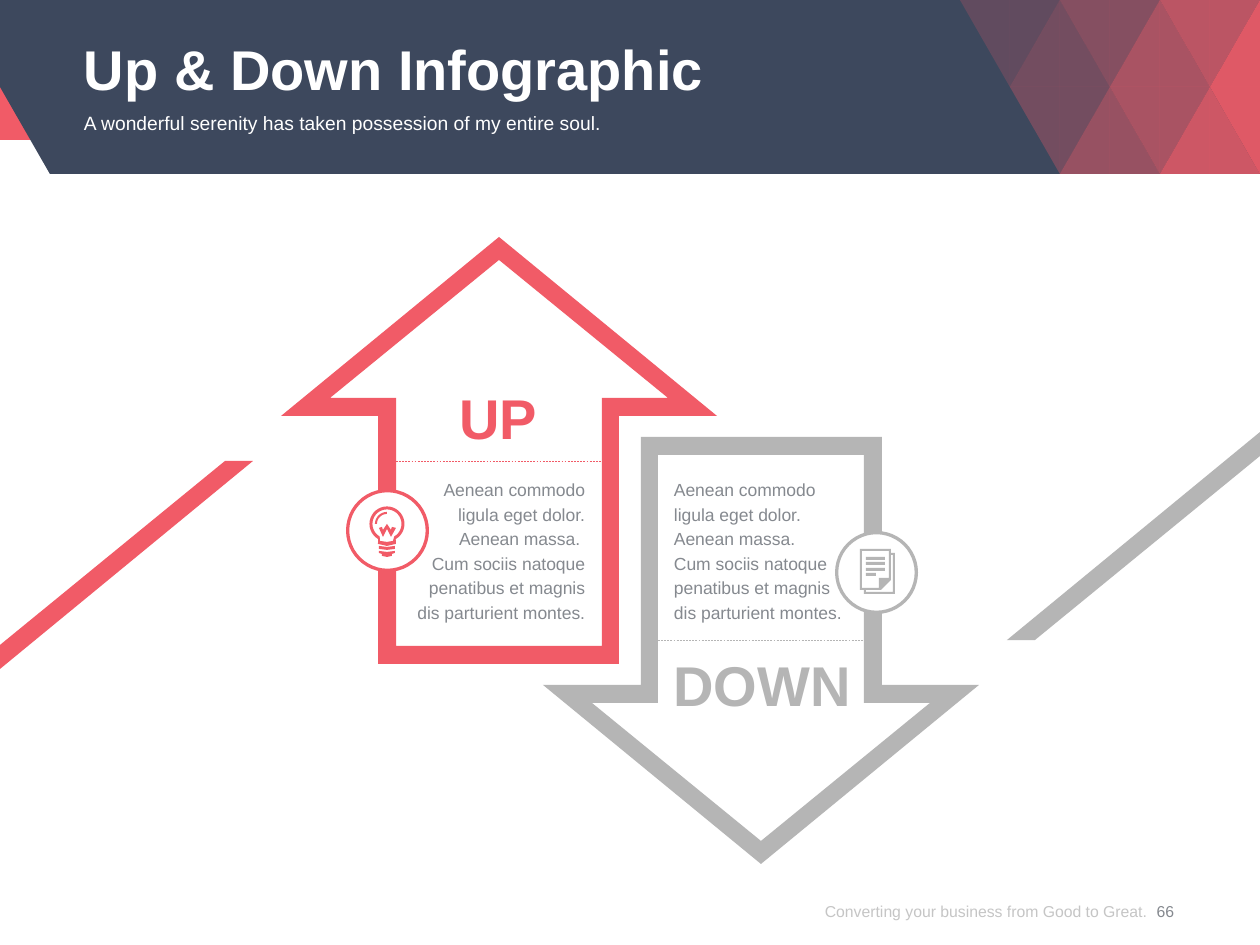
from math import cos, radians, sin

from lxml.etree import SubElement
from pptx import Presentation
from pptx.dml.color import RGBColor
from pptx.enum.dml import MSO_LINE
from pptx.enum.shapes import MSO_CONNECTOR, MSO_SHAPE
from pptx.enum.text import MSO_ANCHOR, MSO_AUTO_SIZE, PP_ALIGN
from pptx.oxml.ns import qn
from pptx.util import Pt

PX = 914400 / 126
WIDTH, HEIGHT = 1260, 945
BANNER_H = 174
RED, GRAY, NAVY, WHITE = "F15B67", "B5B5B5", "3D485D", "FFFFFF"
TEXT_GRAY, FOOTER_GRAY = "85898F", "8C8C8C"

UP_ARROW = [
    [(619, 664), (378, 664), (378, 416), (281, 416), (499, 237), (717, 416), (619, 416)],
    [(396, 646), (602, 646), (602, 398), (668, 398), (499, 260), (330, 398), (396, 398)],
]
RED_STRIP = [[(253, 461), (0, 669), (0, 645), (225, 461)]]
DIVIDER = [(396, 461), (602, 461)]

# Opacity of the banner triangles by row, keyed by the column of their apex
TRIANGLES = [
    {1: 20, 2: 30, 3: 40, 4: 60, 5: 70, 6: 90},
    {2: 30, 3: 50, 4: 60, 5: 80, 6: 90},
]


def px(n):
    return round(n * PX)


def rgb(hex_text):
    return RGBColor.from_string(hex_text)


def set_alpha(fill, percent):
    color = fill._xPr.find(qn("a:solidFill"))[0]
    SubElement(color, qn("a:alpha"), val=str(percent * 1000))


def paint(sp, color, alpha=100):
    sp.shadow.inherit = False
    sp.fill.solid()
    sp.fill.fore_color.rgb = rgb(color)
    sp.line.fill.background()
    if alpha < 100:
        set_alpha(sp.fill, alpha)
    return sp


def add_preset(s, kind, x, y, w, h, color):
    return paint(s.shapes.add_shape(kind, px(x), px(y), px(w), px(h)), color)


def add_outline(s, contours, color, alpha=100):
    """Draw closed contours as one shape; inner contours become holes."""
    builder = None
    for contour in contours:
        points = [(px(x), px(y)) for x, y in contour]
        if builder is None:
            builder = s.shapes.build_freeform(*points[0], scale=1.0)
        else:
            builder.move_to(*points[0])
        builder.add_line_segments(points[1:], close=True)
    return paint(builder.convert_to_shape(), color, alpha)


def add_divider(s, points, color):
    (x1, y1), (x2, y2) = sorted(points)
    line = s.shapes.add_connector(MSO_CONNECTOR.STRAIGHT, px(x1), px(y1), px(x2), px(y2))
    line.line.color.rgb = rgb(color)
    line.line.width = Pt(0.25)
    line.line.dash_style = MSO_LINE.DASH
    SubElement(line._element.spPr, qn("a:effectLst"))


def write(sp, paragraphs, size, color, bold=False, align=PP_ALIGN.LEFT,
          anchor=MSO_ANCHOR.TOP, spacing=None, alpha=100):
    tf = sp.text_frame
    tf.word_wrap = True
    tf.auto_size = MSO_AUTO_SIZE.NONE
    tf.vertical_anchor = anchor
    tf.margin_left = tf.margin_right = tf.margin_top = tf.margin_bottom = 0
    for i, text in enumerate(paragraphs):
        p = tf.add_paragraph() if i else tf.paragraphs[0]
        p.alignment = align
        if spacing:
            p.line_spacing = Pt(spacing)
        r = p.add_run()
        r.text = text
        r.font.name, r.font.size, r.font.bold = "Arial", Pt(size), bold
        r.font.color.rgb = rgb(color)
        if alpha < 100:
            set_alpha(r.font.fill, alpha)


def add_text(s, x, y, w, h, paragraphs, size, color, **style):
    box = s.shapes.add_textbox(px(x), px(y), px(w), px(h))
    write(box, paragraphs, size, color, **style)


def half_turn(contour):
    """Turn points by 180 degrees about the middle of the arrow pair."""
    return [(WIDTH - x, 1101 - y) for x, y in contour]


def arc(cx, cy, radius, start, end, step=10):
    turn = step if end > start else -step
    return [(cx + radius * cos(radians(a)), cy + radius * sin(radians(a)))
            for a in range(start, end + turn, turn)]


def box_contour(x, y, w, h):
    return [(x, y), (x + w, y), (x + w, y + h), (x, y + h)]


def add_banner(s):
    add_preset(s, MSO_SHAPE.RECTANGLE, 0, 0, WIDTH, 140, RED)
    add_outline(s, [[(0, 0), (WIDTH, 0), (WIDTH, BANNER_H), (50, BANNER_H), (0, 87)]], NAVY)
    step, row_h = 50, BANNER_H // 2
    for row, alphas in enumerate(TRIANGLES):
        for col, alpha in alphas.items():
            x, top, bottom = 960 + step * col, row * row_h, (row + 1) * row_h
            points_up = (row + col) % 2 == 0
            apex, base = (top, bottom) if points_up else (bottom, top)
            for side in (-step, step):
                if x + side <= WIDTH:
                    add_outline(s, [[(x, apex), (x, base), (x + side, base)]], RED, alpha)


def add_badge(s, cx, cy, color):
    add_preset(s, MSO_SHAPE.OVAL, cx - 40, cy - 40, 80, 80, WHITE)
    ring = add_preset(s, MSO_SHAPE.DONUT, cx - 41, cy - 41, 83, 83, color)
    ring.adjustments[0] = 0.04


def add_bulb(s):
    cx, cy = 387, 524
    add_outline(s, [
        arc(cx, cy, 17.5, 120, 420) + [(396, 544), (387, 546), (378, 544)],
        arc(cx, cy, 14.5, 120, 420) + [(393, 541), (387, 542), (380, 541)],
        arc(cx, cy, 12, 180, 270) + arc(cx, cy, 10, 270, 180),
        [(391, 530), (387, 524), (383, 530), (382, 527), (379, 528),
         (383, 537), (387, 529), (391, 537), (396, 528), (392, 527)],
        [(379, 546), (387, 547), (395, 546), (395, 549), (387, 550), (379, 549)],
        [(379, 551), (387, 552), (395, 551), (395, 553), (392, 554),
         (392, 556), (387, 557), (382, 556), (382, 554), (379, 553)],
    ], RED)


def add_document(s):
    lines = [box_contour(866, y, w, 3)
             for y, w in ((557, 19), (562, 19), (568, 19), (573, 10))]
    add_outline(s, [
        [(891, 553), (891, 549), (860, 549), (860, 590), (864, 590),
         (864, 594), (895, 594), (895, 553)],
        [(862, 588), (862, 551), (889, 551), (889, 578), (879, 578), (879, 588)],
        [(893, 592), (866, 592), (866, 590), (881, 590), (891, 580), (891, 555), (893, 555)],
        *lines,
    ], GRAY)


def add_title(s):
    title = s.shapes.title
    title.left, title.top, title.width, title.height = px(84), px(24), px(1091), px(82)
    write(title, ["Up & Down Infographic"], 32, WHITE, bold=True,
          anchor=MSO_ANCHOR.MIDDLE, spacing=42)
    title._element.getparent().append(title._element)  # bring in front of the banner


def main():
    prs = Presentation()
    prs.slide_width, prs.slide_height = px(WIDTH), px(HEIGHT)
    s = prs.slides.add_slide(prs.slide_layouts[5])

    add_banner(s)
    add_title(s)
    add_text(s, 84, 111, 1091, 49,
             ["A wonderful serenity has taken possession of my entire soul."], 11, WHITE)

    for contours in (UP_ARROW, RED_STRIP):
        add_outline(s, contours, RED)
        add_outline(s, [half_turn(c) for c in contours], GRAY)
    add_divider(s, DIVIDER, RED)
    add_divider(s, half_turn(DIVIDER), GRAY)
    add_badge(s, 387, 530, RED)
    add_bulb(s)
    add_badge(s, 876, 572, GRAY)
    add_document(s)

    closing = "Cum sociis natoque penatibus et magnis dis parturient montes."
    opening = "Aenean commodo ligula eget dolor. Aenean massa."
    add_text(s, 411, 476, 174, 149, [opening + " ", closing], 10, TEXT_GRAY,
             align=PP_ALIGN.RIGHT, spacing=14)
    add_text(s, 674, 476, 174, 149, [opening, closing], 10, TEXT_GRAY, spacing=14)
    add_text(s, 411, 383, 174, 68, ["UP"], 32, RED, bold=True, align=PP_ALIGN.CENTER)
    add_text(s, 665, 651, 194, 68, ["DOWN"], 32, GRAY, bold=True, align=PP_ALIGN.CENTER)

    add_text(s, 761, 877, 386, 68, ["Converting your business from Good to Great."], 9,
             FOOTER_GRAY, align=PP_ALIGN.RIGHT, anchor=MSO_ANCHOR.MIDDLE, alpha=50)
    add_text(s, 1136, 877, 59, 68, ["66"], 9, TEXT_GRAY,
             align=PP_ALIGN.CENTER, anchor=MSO_ANCHOR.MIDDLE)
    prs.save("out.pptx")


if __name__ == "__main__":
    main()
